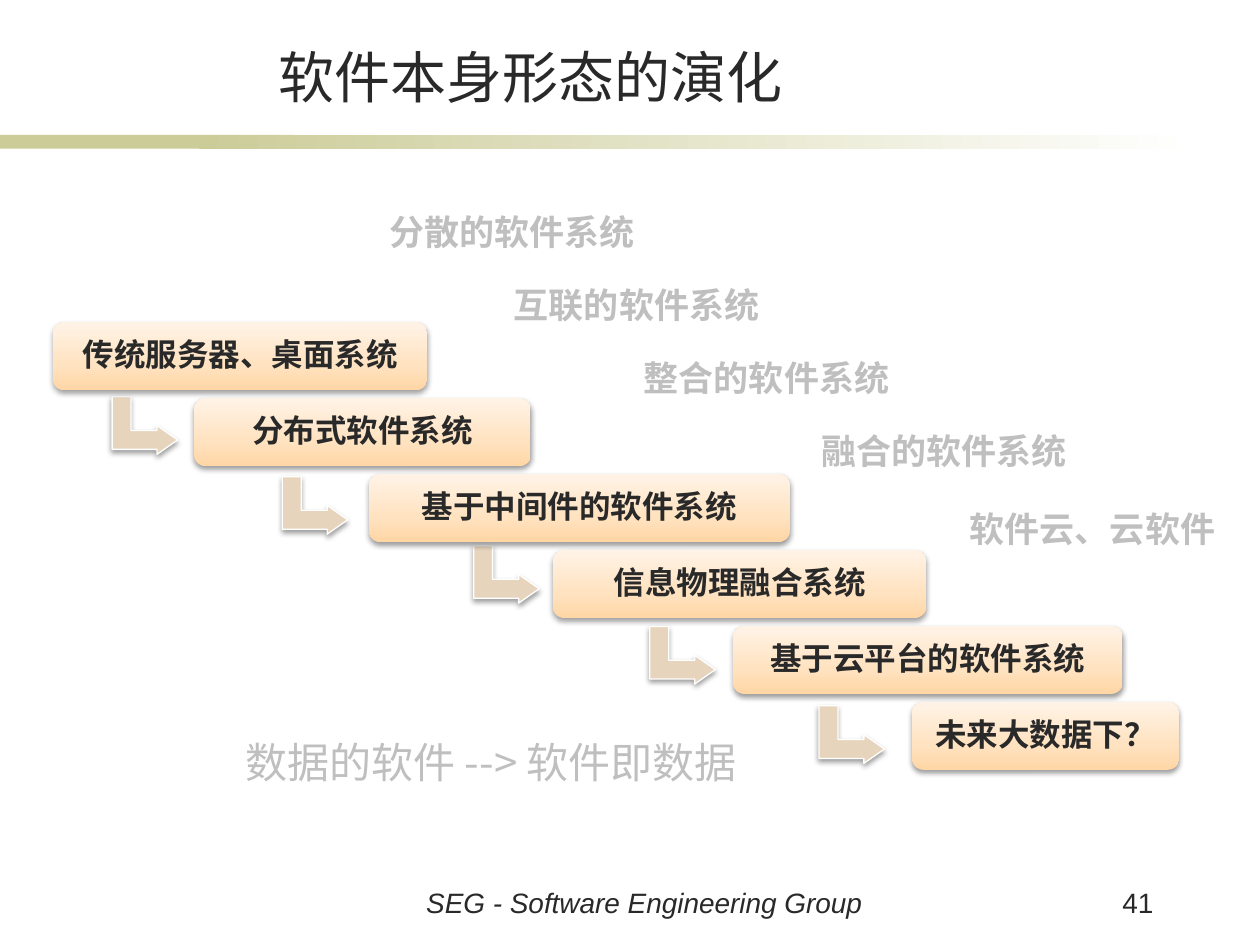
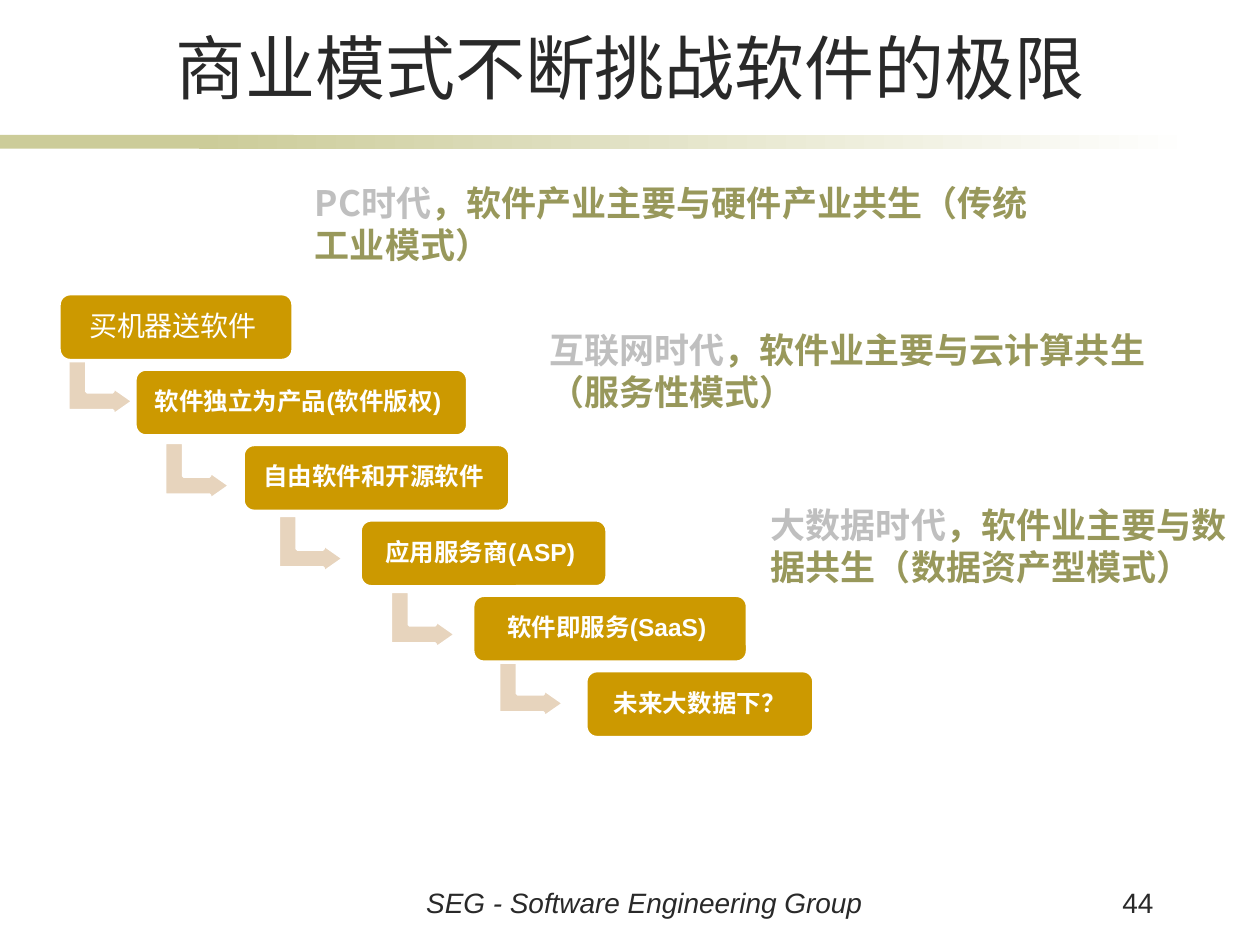
from copy import deepcopy

from lxml import etree
from pptx import Presentation
from pptx.dml.color import RGBColor
from pptx.enum.shapes import MSO_SHAPE
from pptx.enum.text import MSO_ANCHOR, PP_ALIGN
from pptx.oxml import parse_xml
from pptx.oxml.ns import nsdecls, qn
from pptx.util import Cm, Pt

RECTANGLE = MSO_SHAPE.RECTANGLE
ROUNDED = MSO_SHAPE.ROUNDED_RECTANGLE
BENT_ARROW = MSO_SHAPE.BENT_UP_ARROW
TOP, MIDDLE, BOTTOM = MSO_ANCHOR.TOP, MSO_ANCHOR.MIDDLE, MSO_ANCHOR.BOTTOM
LEFT, CENTER, RIGHT = PP_ALIGN.LEFT, PP_ALIGN.CENTER, PP_ALIGN.RIGHT

INK = RGBColor(0x29, 0x29, 0x29)
WHITE = RGBColor(0xFF, 0xFF, 0xFF)
SAGE = RGBColor(0xCC, 0xCC, 0x99)
OLIVE = RGBColor(0x98, 0x98, 0x5B)
GREY = RGBColor(0xBF, 0xBF, 0xBF)
GOLD = RGBColor(0xCC, 0x99, 0x00)
SAND = RGBColor(0xE7, 0xD4, 0xBD)
PEACH = [(0, RGBColor(0xFF, 0xD6, 0xA5)), (0.35, RGBColor(0xFF, 0xE2, 0xBF)),
         (1, RGBColor(0xFF, 0xF3, 0xE7))]

LATIN, CJK, CJK_PLAIN = "Arial", "Noto Sans CJK SC", "Noto Sans CJK JP"
FOOTER = "SEG - Software Engineering Group"
ARROW_SIZE = (1.16, 1.32)

# Each step: text, left, width, text size, bold; each arrow: left, top
# Each caption: left, top, width, height, size, bold, font, coloured runs
pages = [
    {
        "title": "软件本身形态的演化", "title_box": (2.9, 0.74, 15.6, 1.6), "title_size": 32,
        "number": "41", "raised": True,
        "first_top": 6.5, "pitch": 1.53, "step_height": 1.37,
        "steps": [
            ("传统服务器、桌面系统", 1.07, 7.54, 18, True),
            ("分布式软件系统", 3.92, 6.78, 18, True),
            ("基于中间件的软件系统", 7.44, 8.48, 18, True),
            ("信息物理融合系统", 11.15, 7.52, 18, True),
            ("基于云平台的软件系统", 14.78, 7.85, 18, True),
            ("未来大数据下？", 18.39, 5.38, 18, True),
        ],
        "arrows": [(2.34, 7.92), (5.77, 9.53), (9.63, 10.92), (13.18, 12.55), (16.59, 14.15)],
        "captions": [
            (7.6, 4.11, 6.8, 1.12, 20, True, CJK, [("分散的软件系统", GREY)]),
            (10.11, 5.59, 6.2, 1.12, 20, True, CJK, [("互联的软件系统", GREY)]),
            (12.73, 7.06, 6.2, 1.12, 20, True, CJK, [("整合的软件系统", GREY)]),
            (16.31, 8.53, 6.2, 1.12, 20, True, CJK, [("融合的软件系统", GREY)]),
            (19.3, 10.11, 5.7, 1.12, 20, True, CJK, [("软件云、云软件", GREY)]),
            (4.7, 14.73, 11.4, 1.27, 24, False, CJK_PLAIN,
             [("数据的软件 --> 软件即数据", GREY)]),
        ],
    },
    {
        "title": "商业模式不断挑战软件的极限", "title_box": (1.27, -0.61, 22.86, 2.92),
        "title_size": 40, "number": "44", "raised": False,
        "first_top": 5.92, "pitch": 1.52, "step_height": 1.35,
        "steps": [
            ("买机器送软件 ", 1.19, 4.72, 16, False),
            ("软件独立为产品(软件版权) ", 2.72, 6.71, 14, True),
            ("自由软件和开源软件 ", 4.9, 5.38, 14, True),
            ("应用服务商(ASP) ", 7.26, 4.98, 14, True),
            ("软件即服务(SaaS) ", 9.53, 5.54, 14, True),
            ("未来大数据下？", 11.81, 4.6, 14, True),
        ],
        "arrows": [(1.45, 7.14), (3.4, 8.84), (5.69, 10.31), (7.95, 11.84), (10.13, 13.23)],
        "captions": [
            (6.1, 3.53, 15.29, 1.96, 20, True, CJK,
             [("PC时代", GREY), ("，软件产业主要与硬件产业共生（传统工业模式）", OLIVE)]),
            (10.82, 6.5, 13.08, 1.96, 20, True, CJK,
             [("互联网时代", GREY), ("，软件业主要与云计算共生（服务性模式）", OLIVE)]),
            (15.29, 10.03, 10.11, 1.96, 20, True, CJK,
             [("大数据时代", GREY), ("，软件业主要与数据共生（数据资产型模式）", OLIVE)]),
        ],
    },
]


def write_text(shape, runs, size, bold=False, italic=False, font=LATIN, align=LEFT, anchor=TOP):
    frame = shape.text_frame
    frame.word_wrap = True
    frame.vertical_anchor = anchor
    paragraph = frame.paragraphs[0]
    paragraph.alignment = align
    paragraph.font.size, paragraph.font.name = Pt(size), font
    paragraph.font.bold, paragraph.font.italic = bold, italic
    # East Asian characters take their own typeface
    defaults = paragraph._p.pPr.find(qn("a:defRPr"))
    east_asian = CJK if font == LATIN else font
    etree.SubElement(defaults, qn("a:ea")).set("typeface", east_asian)
    for text, colour in runs:
        run = paragraph.add_run()
        run.text = text
        run.font.color.rgb = colour
    return paragraph


def add_filled(slide, kind, box, stops, angle=0, line_width=0, raised=False):
    shape = slide.shapes.add_shape(kind, *[Cm(value) for value in box])
    shape.shadow.inherit = False
    if len(stops) == 1:
        shape.fill.solid()
        shape.fill.fore_color.rgb = stops[0][1]
    else:
        shape.fill.gradient()
        shape.fill.gradient_angle = angle
        stop_list = next(shape._element.spPr.iter(qn("a:gsLst")))
        for extra in range(len(stops) - 2):
            stop_list.insert(1, deepcopy(stop_list[0]))
        for stop, (position, colour) in zip(shape.fill.gradient_stops, stops):
            stop.position = position
            stop.color.rgb = colour
    if line_width:
        shape.line.color.rgb = WHITE
        shape.line.width = Pt(line_width)
    else:
        shape.line.fill.background()
    if raised:
        shape._element.spPr.find(qn("a:effectLst")).append(parse_xml(
            f'<a:outerShdw {nsdecls("a")} blurRad="40000" dist="20000" dir="5400000" '
            'rotWithShape="0"><a:srgbClr val="000000"><a:alpha val="38000"/></a:srgbClr>'
            '</a:outerShdw>'))
    return shape


presentation = Presentation()
presentation.slide_width, presentation.slide_height = Cm(25.4), Cm(19.05)
blank = presentation.slide_layouts[6]

for page in pages:
    slide = presentation.slides.add_slide(blank)
    raised = page["raised"]

    # Band under the title
    add_filled(slide, RECTANGLE, (0, 2.72, 5.92, 0.28), [(0, SAGE)])
    add_filled(slide, RECTANGLE, (4.01, 2.72, 20.12, 0.28), [(0, SAGE), (1, WHITE)])

    # Title, footer and slide number
    for box, text, size, italic, align, anchor in [
        (page["title_box"], page["title"], page["title_size"], False, CENTER, BOTTOM),
        ((5.69, 17.73, 14.6, 0.99), FOOTER, 16, True, CENTER, TOP),
        ((20.9, 17.73, 2.6, 0.99), page["number"], 16, False, RIGHT, TOP),
    ]:
        shape = slide.shapes.add_textbox(*[Cm(value) for value in box])
        write_text(shape, [(text, INK)], size, italic=italic, align=align, anchor=anchor)

    # Arrows leading from step to step
    for left, top in page["arrows"]:
        arrow = add_filled(slide, BENT_ARROW, (left, top, *ARROW_SIZE), [(0, SAND)],
                           line_width=0.75 if raised else 2, raised=raised)
        arrow.rotation = 90
        for index, value in enumerate((0.328, 0.25, 0.358)):
            arrow.adjustments[index] = value

    # Staircase of steps
    for index, (text, left, width, size, bold) in enumerate(page["steps"]):
        box = (left, page["first_top"] + index * page["pitch"], width, page["step_height"])
        step = add_filled(slide, ROUNDED, box, PEACH if raised else [(0, GOLD)], angle=90,
                          line_width=0 if raised else 2, raised=raised)
        frame = step.text_frame
        frame.margin_left = frame.margin_right = Cm(0.15)
        frame.margin_top = frame.margin_bottom = Cm(0.15)
        paragraph = write_text(step, [(text, INK if raised else WHITE)], size, bold,
                               align=CENTER, anchor=MIDDLE)
        paragraph.line_spacing = 0.9

    # Captions beside the staircase
    for left, top, width, height, size, bold, font, runs in page["captions"]:
        caption = slide.shapes.add_textbox(Cm(left), Cm(top), Cm(width), Cm(height))
        write_text(caption, runs, size, bold, font=font)

presentation.save("out.pptx")
